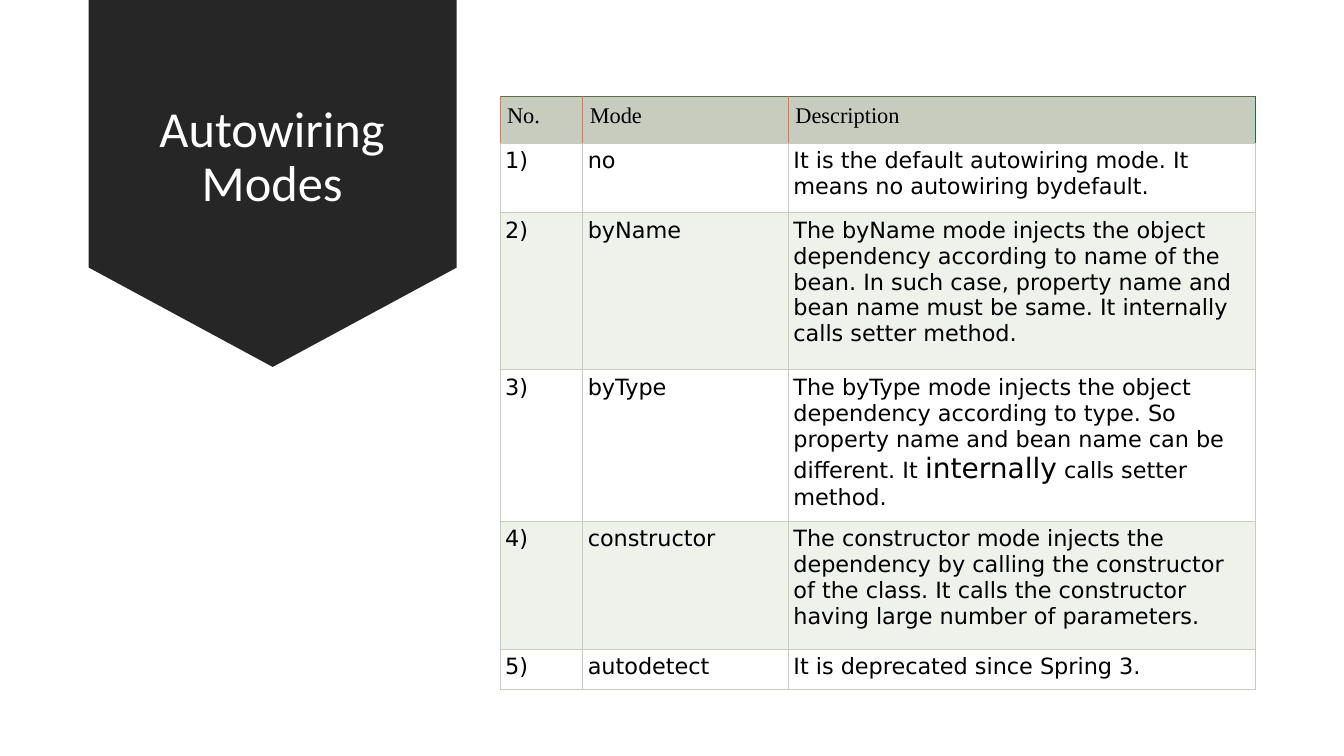
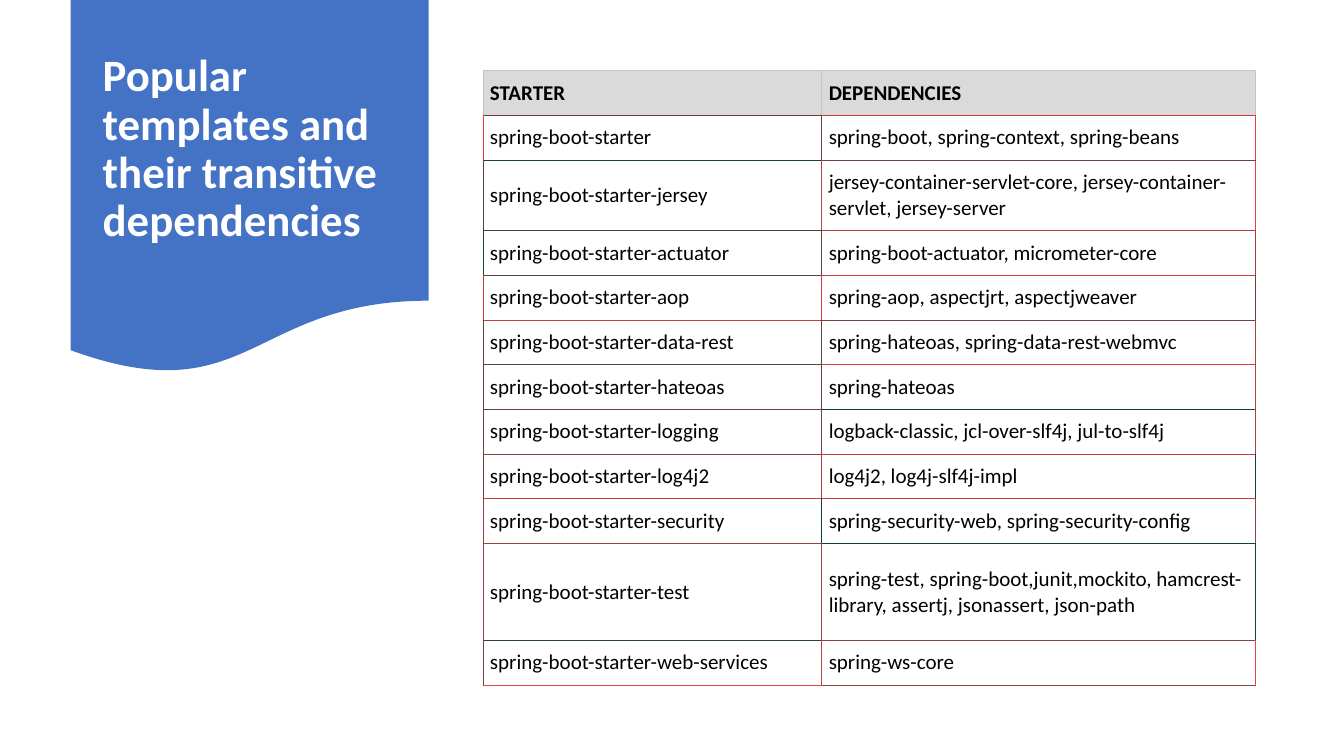
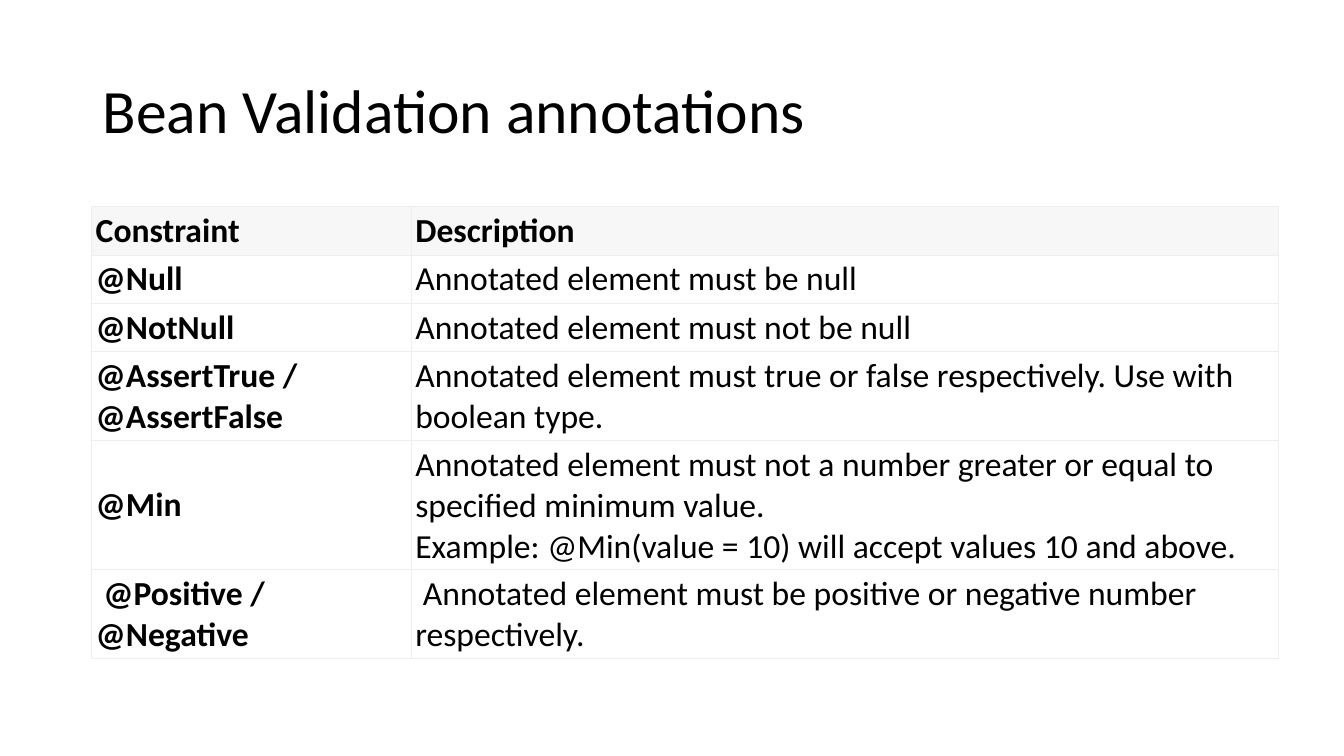
from dataclasses import dataclass, replace

from lxml import etree
from pptx import Presentation
from pptx.dml.color import RGBColor
from pptx.enum.shapes import MSO_SHAPE
from pptx.enum.text import MSO_ANCHOR, PP_ALIGN
from pptx.oxml.ns import qn
from pptx.util import Inches, Pt

DOWN_ARROW = MSO_SHAPE.DOWN_ARROW
DOCUMENT = MSO_SHAPE.FLOWCHART_DOCUMENT
TOP, MIDDLE = MSO_ANCHOR.TOP, MSO_ANCHOR.MIDDLE
LEFT, CENTER = PP_ALIGN.LEFT, PP_ALIGN.CENTER


# Colours and type sizes
@dataclass(frozen=True)
class Theme:
    font: str = "Calibri"
    mode_head_font: str = "Times New Roman"
    mode_font: str = "DejaVu Sans"
    ink: str = "000000"
    paper: str = "FFFFFF"
    charcoal: str = "262626"
    blue: str = "4472C4"
    sage: str = "C7CCBE"
    pale_sage: str = "EFF1EB"
    orange: str = "F06F44"
    moss: str = "587144"
    green: str = "187244"
    grey: str = "DADADA"
    grey_line: str = "C3C3C3"
    pale_grey: str = "F7F7F7"
    pale_line: str = "EEEEEE"
    title: int = 44
    arrow_title: int = 36
    panel_title: int = 32
    mode_text: int = 16
    mode_accent: int = 20
    starter_text: int = 15
    constraint_text: int = 24
    border: float = 0.75


T = Theme()


@dataclass(frozen=True)
class CellStyle:
    font: str
    size: int
    inset: float
    anchor: int
    fill: str = T.paper
    bold: bool = False


# Slide 1 content: a list in a cell holds (text, size) runs
MODES = [
    ["No.", "Mode", "Description"],
    ["1)", "no", "It is the default autowiring mode. It means no autowiring bydefault."],
    ["2)", "byName", "The byName mode injects the object dependency according to name of "
     "the bean. In such case, property name and bean name must be same. It internally "
     "calls setter method."],
    ["3)", "byType", [
        ("The byType mode injects the object dependency according to type. So property "
         "name and bean name can be different. It ", T.mode_text),
        ("internally", T.mode_accent),
        (" calls setter method.", T.mode_text)]],
    ["4)", "constructor", "The constructor mode injects the dependency by calling the "
     "constructor of the class. It calls the constructor having large number of parameters."],
    ["5)", "autodetect", "It is deprecated since Spring 3."],
]

# Slide 2 content
STARTERS = [
    ["STARTER", "DEPENDENCIES"],
    ["spring-boot-starter", "spring-boot, spring-context, spring-beans"],
    ["spring-boot-starter-jersey",
     "jersey-container-servlet-core, jersey-container-servlet, jersey-server"],
    ["spring-boot-starter-actuator", "spring-boot-actuator, micrometer-core"],
    ["spring-boot-starter-aop", "spring-aop, aspectjrt, aspectjweaver"],
    ["spring-boot-starter-data-rest", "spring-hateoas, spring-data-rest-webmvc"],
    ["spring-boot-starter-hateoas", "spring-hateoas"],
    ["spring-boot-starter-logging", "logback-classic, jcl-over-slf4j, jul-to-slf4j"],
    ["spring-boot-starter-log4j2", "log4j2, log4j-slf4j-impl"],
    ["spring-boot-starter-security", "spring-security-web, spring-security-config"],
    ["spring-boot-starter-test",
     "spring-test, spring-boot,junit,mockito, hamcrest-library, assertj, jsonassert, json-path"],
    ["spring-boot-starter-web-services", "spring-ws-core"],
]

# Starter borders, row by row: left, middle and right edge, then the two bottom edges
STARTER_EDGES = [line.split() for line in (
    "C3C3C3 C3C3C3 C3C3C3 683B40 C83E40",
    "E83C40 783D40 E83F40 184040 783D40",
    "583F40 B83F40 E83F40 484040 B83F40",
    "184040 583F40 A83D40 583F40 C83E40",
    "C83B40 D83D40 683E40 C83B40 784040",
    "683B40 583F40 A84040 583F40 D83D40",
    "683B40 683B40 B83F40 683B40 084140",
    "683E40 784040 A84040 983B40 C83E40",
    "683E40 A84040 084140 C83B40 C83B40",
    "983B40 084140 983B40 984140 084440",
    "983B40 984140 084740 284240 884240",
    "784340 B84540 E84540 E84540 984140",
)]

# Slide 3 content
CONSTRAINTS = [
    ["Constraint", "Description"],
    ["@Null", "Annotated element must be null"],
    ["@NotNull", "Annotated element must not be null"],
    ["@AssertTrue / @AssertFalse",
     "Annotated element must true or false respectively. Use with boolean type."],
    ["@Min", "Annotated element must not a number greater or equal to specified minimum "
     "value.\nExample: @Min(value = 10) will accept values 10 and above."],
    [" @Positive / @Negative",
     " Annotated element must be positive or negative number respectively."],
]


def rgb(color):
    return RGBColor.from_string(color)


def set_font(font, name, size, color, bold=False):
    font.name, font.size, font.bold = name, Pt(size), bold
    font.color.rgb = rgb(color)


def add_slide(prs):
    s = prs.slides.add_slide(prs.slide_layouts[6])
    s.background.fill.solid()
    s.background.fill.fore_color.rgb = rgb(T.paper)
    return s


def add_panel(s, kind, box, color, adjustments=()):
    sp = s.shapes.add_shape(kind, *map(Inches, box))
    sp.shadow.inherit = False
    sp.fill.solid()
    sp.fill.fore_color.rgb = rgb(color)
    sp.line.fill.background()
    for i, value in enumerate(adjustments):
        sp.adjustments[i] = value


def add_title(s, text, box, size, color, bold=False, align=LEFT):
    tf = s.shapes.add_textbox(*map(Inches, box)).text_frame
    tf.word_wrap = True
    tf.vertical_anchor = MIDDLE
    p = tf.paragraphs[0]
    p.text, p.alignment, p.line_spacing = text, align, 0.9
    set_font(p.font, T.font, size, color, bold)


def set_borders(cell, *colors):
    """Draw the left, right, top and bottom edge; lines must precede the fill."""
    tc_pr = cell._tc.get_or_add_tcPr()
    for i, (side, color) in enumerate(zip("LRTB", colors)):
        ln = etree.Element(qn(f"a:ln{side}"), w=str(Pt(T.border)))
        fill = etree.SubElement(ln, qn("a:solidFill"))
        etree.SubElement(fill, qn("a:srgbClr"), val=color)
        tc_pr.insert(i, ln)


def fill_cell(cell, content, style):
    cell.fill.solid()
    cell.fill.fore_color.rgb = rgb(style.fill)
    cell.vertical_anchor = style.anchor
    cell.margin_left = cell.margin_right = Inches(style.inset)
    cell.margin_top = cell.margin_bottom = Inches(style.inset)
    p = cell.text_frame.paragraphs[0]
    if isinstance(content, str):
        p.text = content
    else:
        for text, size in content:
            r = p.add_run()
            r.text, r.font.size = text, Pt(size)
    set_font(p.font, style.font, style.size, T.ink, style.bold)


def add_table(s, origin, widths, heights, rows, style_of, uprights, levels):
    """uprights[row] holds the vertical edges, levels[row] the edges above a row."""
    size = sum(widths), sum(heights)
    table = s.shapes.add_table(len(rows), len(widths), *map(Inches, origin + size)).table
    table.first_row = table.horz_banding = False
    for column, width in zip(table.columns, widths):
        column.width = Inches(width)
    for i, (row, height) in enumerate(zip(rows, heights)):
        table.rows[i].height = Inches(height)
        for j, content in enumerate(row):
            cell = table.cell(i, j)
            fill_cell(cell, content, style_of(i, j))
            set_borders(cell, uprights[i][j], uprights[i][j + 1],
                        levels[i][j], levels[i + 1][j])


def modes_slide(prs):
    s = add_slide(prs)
    add_panel(s, DOWN_ARROW, (0.88, -0.01, 3.65, 3.65), T.charcoal, (1, 0.27))
    add_title(s, "Autowiring Modes", (1.12, 0.21, 3.16, 2.72), T.arrow_title,
              T.paper, align=CENTER)
    head = CellStyle(T.mode_head_font, T.mode_text, 0.07, TOP, T.sage)
    body = CellStyle(T.mode_font, T.mode_text, 0.05, TOP)
    band = replace(body, fill=T.pale_sage)
    n = len(MODES)
    add_table(s, (4.96, 0.96), (0.82, 2.04, 4.63), (0.46, 0.69, 1.56, 1.35, 1.27, 0.4),
              MODES, lambda i, j: head if i == 0 else body if i % 2 else band,
              [[T.orange] * 3 + [T.green]] + [[T.sage] * 4] * (n - 1),
              [[T.moss] * 3] + [[T.sage] * 3] * n)


def starters_slide(prs):
    s = add_slide(prs)
    add_panel(s, DOCUMENT, (0.7, 0, 3.55, 3.72), T.blue)
    add_title(s, "Popular templates and their transitive dependencies",
              (0.92, 0.19, 3.11, 2.59), T.panel_title, T.paper, bold=True)
    body = CellStyle(T.font, T.starter_text, 0.07, MIDDLE)
    head = replace(body, fill=T.grey, bold=True)
    # Single-line rows share what the two taller rows leave
    tall = {2: 0.7, 10: 0.96}
    single = (6.1 - sum(tall.values())) / (len(STARTERS) - len(tall))
    heights = [tall.get(i, single) for i in range(len(STARTERS))]
    add_table(s, (4.79, 0.7), (3.36, 4.3), heights, STARTERS,
              lambda i, j: body if i else head,
              [edges[:3] for edges in STARTER_EDGES],
              [[T.grey_line] * 2] + [edges[3:] for edges in STARTER_EDGES])


def constraints_slide(prs):
    s = add_slide(prs)
    add_title(s, "Bean Validation annotations", (0.92, 0.4, 11.5, 1.45), T.title, T.ink)
    body = CellStyle(T.font, T.constraint_text, 0.04, MIDDLE)
    name = replace(body, bold=True)
    head = replace(name, fill=T.pale_grey)
    n = len(CONSTRAINTS)
    add_table(s, (0.91, 2.05), (3.17, 8.6), (0.38, 0.38, 0.38, 0.67, 1.26, 0.67),
              CONSTRAINTS, lambda i, j: head if i == 0 else body if j else name,
              [[T.pale_line] * 3] * n, [[T.pale_line] * 2] * (n + 1))


def main():
    prs = Presentation()
    prs.slide_width, prs.slide_height = Inches(13.33), Inches(7.5)
    modes_slide(prs)
    starters_slide(prs)
    constraints_slide(prs)
    prs.save("out.pptx")


if __name__ == "__main__":
    main()
